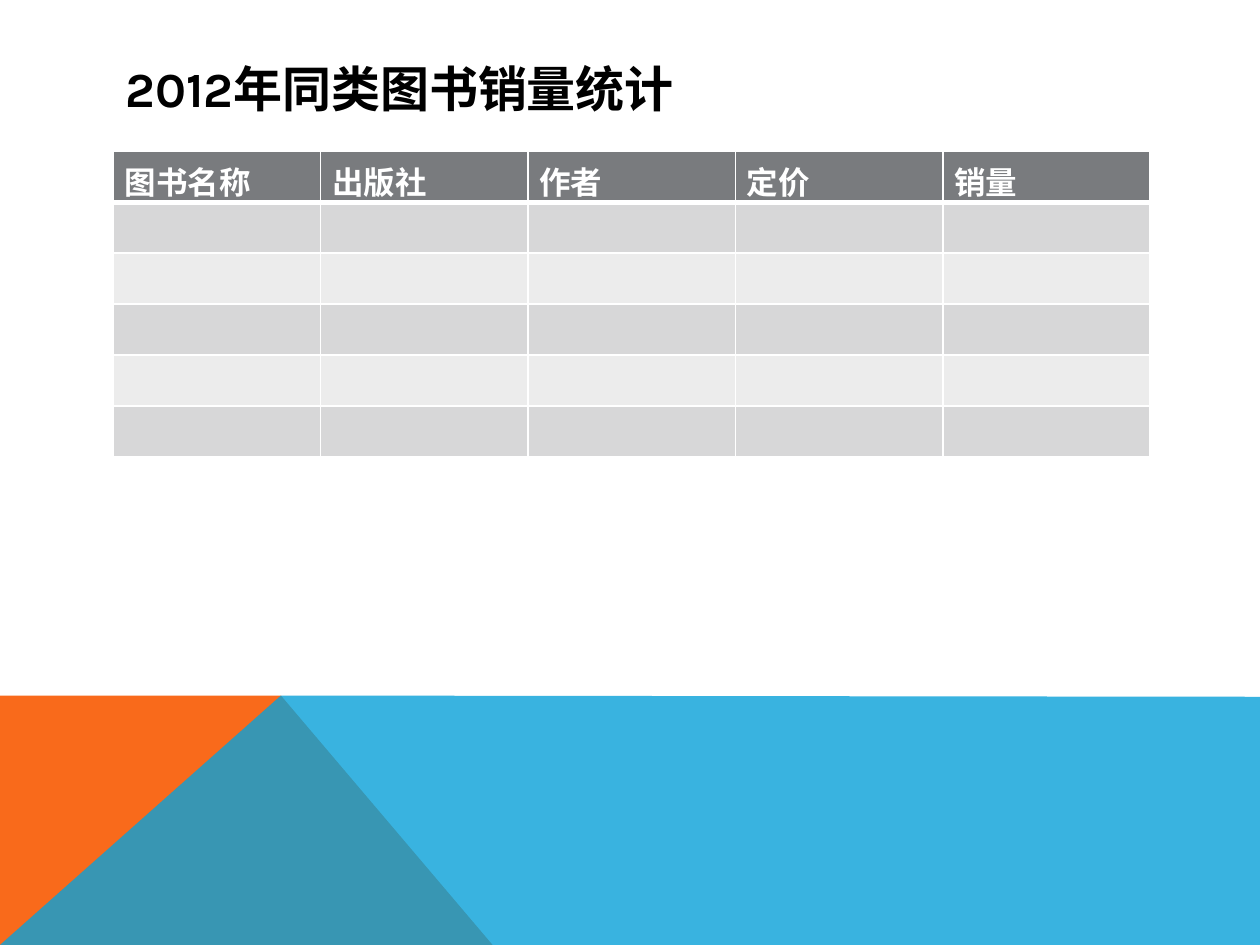
"""Build the slide of 2012 sales of similar books, with an empty table to fill in."""

from dataclasses import dataclass

from lxml import etree
from pptx import Presentation
from pptx.dml.color import RGBColor
from pptx.enum.text import MSO_ANCHOR
from pptx.oxml.ns import qn
from pptx.slide import Slide
from pptx.table import _Cell
from pptx.text.text import _Run
from pptx.util import Inches, Pt

MIDDLE = MSO_ANCHOR.MIDDLE

BLACK = RGBColor(0x00, 0x00, 0x00)
WHITE = RGBColor(0xFF, 0xFF, 0xFF)
ORANGE = RGBColor(0xF9, 0x6A, 0x1B)
BLUE = RGBColor(0x08, 0xA1, 0xD9)
HEADER_GRAY = RGBColor(0x79, 0x7B, 0x7E)
BAND_GRAYS = (RGBColor(0xEC, 0xEC, 0xEC), RGBColor(0xD7, 0xD7, 0xD8))

TITLE = "2012年同类图书销量统计"
HEADINGS = ("图书名称", "出版社", "作者", "定价", "销量")
ROW_COUNT = 6

TITLE_FONT = {"name": "Karla", "size": Pt(28), "bold": True}
HEADING_FONT = {"name": "Karla", "size": Pt(18), "bold": True}
CELL_MARGINS = {
    "margin_left": Inches(0.09),
    "margin_right": Inches(0.09),
    "margin_top": Inches(0.05),
    "margin_bottom": Inches(0.05),
}


@dataclass(frozen=True)
class Facet:
    """A flat coloured polygon of the footer, with corners in inches."""

    corners: tuple[tuple[float, float], ...]
    color: RGBColor
    opacity: int = 100


FACETS = (
    Facet(((0, 7.5), (0, 5.52), (2.23, 5.52), (3.91, 7.5)), ORANGE),
    Facet(((0, 7.5), (2.23, 5.52), (10, 5.53), (10, 7.5)), BLUE, 80),
)


def apply_format(target: object, values: dict) -> None:
    """Set each named attribute on the target."""
    for name, value in values.items():
        setattr(target, name, value)


def style_run(run: _Run, font: dict, color: RGBColor) -> None:
    """Give a run its font and colour."""
    apply_format(run.font, font)
    run.font.color.rgb = color


def draw_facet(slide: Slide, facet: Facet) -> None:
    """Draw one footer polygon."""
    start, *others = [(Inches(x), Inches(y)) for x, y in facet.corners]
    builder = slide.shapes.build_freeform(*start, scale=1.0)
    builder.add_line_segments(others, close=True)
    polygon = builder.convert_to_shape()
    polygon.shadow.inherit = False
    polygon.line.fill.background()
    polygon.fill.solid()
    polygon.fill.fore_color.rgb = facet.color
    if facet.opacity < 100:
        color = polygon.fill._xPr.find(".//" + qn("a:srgbClr"))
        etree.SubElement(color, qn("a:alpha"), val=str(facet.opacity * 1000))


def draw_title(slide: Slide) -> None:
    """Write the slide title."""
    title = slide.shapes.add_textbox(Inches(0.9), Inches(0.4), Inches(8.22), Inches(0.6))
    frame = title.text_frame
    apply_format(frame, {"word_wrap": True, "vertical_anchor": MIDDLE})
    run = frame.paragraphs[0].add_run()
    run.text = TITLE
    style_run(run, TITLE_FONT, BLACK)


def style_cell(cell: _Cell, color: RGBColor, widths: dict[str, int]) -> None:
    """Give a cell its margins, white borders and fill."""
    apply_format(cell, CELL_MARGINS)
    properties = cell._tc.get_or_add_tcPr()
    for side, width in widths.items():
        border = etree.SubElement(properties, qn(f"a:ln{side}"), w=str(Pt(width)))
        paint = etree.SubElement(border, qn("a:solidFill"))
        etree.SubElement(paint, qn("a:srgbClr"), val=str(WHITE))
    cell.fill.solid()
    cell.fill.fore_color.rgb = color


def draw_sales_table(slide: Slide) -> None:
    """Draw the heading row and the banded empty rows."""
    table = slide.shapes.add_table(
        ROW_COUNT, len(HEADINGS), Inches(0.9), Inches(1.2), Inches(8.23), Inches(2.43)
    ).table
    thin = {"L": 1, "R": 1, "T": 1, "B": 1}
    for column, heading in enumerate(HEADINGS):
        heading_cell = table.cell(0, column)
        style_cell(heading_cell, HEADER_GRAY, thin | {"B": 3})
        run = heading_cell.text_frame.paragraphs[0].add_run()
        run.text = heading
        style_run(run, HEADING_FONT, WHITE)
        for row in range(1, ROW_COUNT):
            widths = thin | {"T": 3} if row == 1 else thin
            style_cell(table.cell(row, column), BAND_GRAYS[row % 2], widths)


def main() -> None:
    """Build and save the slide."""
    deck = Presentation()
    apply_format(deck, {"slide_width": Inches(10), "slide_height": Inches(7.5)})
    slide = deck.slides.add_slide(deck.slide_layouts[6])
    slide.background.fill.solid()
    slide.background.fill.fore_color.rgb = WHITE
    for facet in FACETS:
        draw_facet(slide, facet)
    draw_title(slide)
    draw_sales_table(slide)
    deck.save("out.pptx")


if __name__ == "__main__":
    main()
